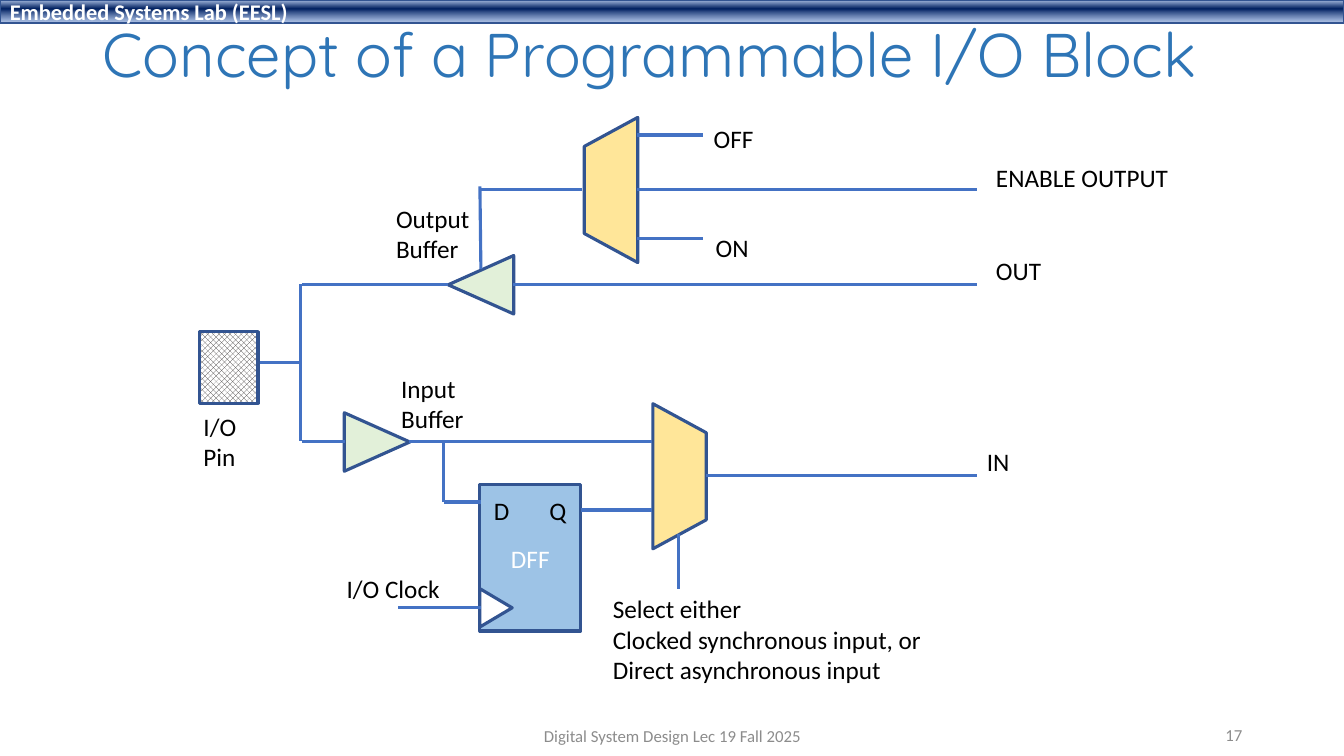
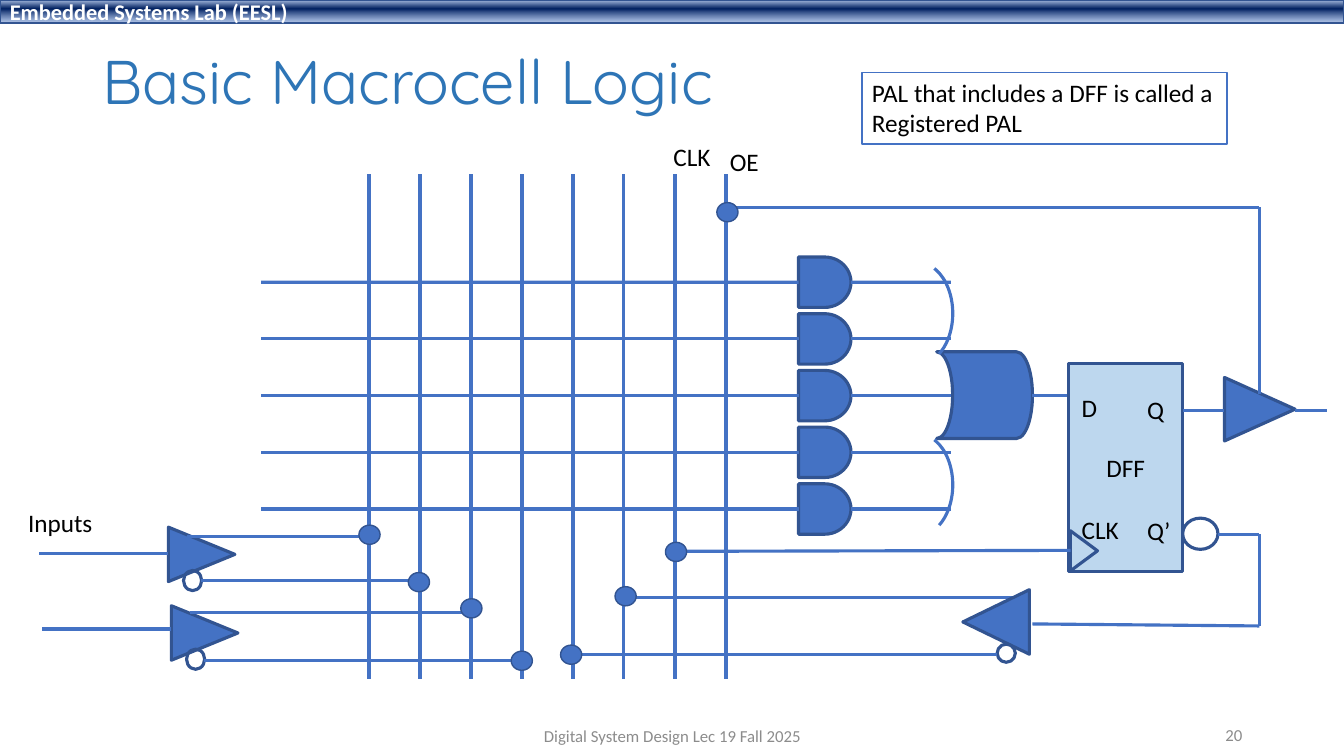
"""Build two digital-logic slides: a programmable I/O block and a basic macrocell."""
from dataclasses import dataclass
from typing import Optional, Union

from lxml import etree
from pptx import Presentation
from pptx import util as u
from pptx.dml.color import RGBColor
from pptx.enum import dml, shapes, text
from pptx.oxml.ns import qn

COLORS = {
    "wire": "4472C4", "edge": "325491", "title": "2E75B6", "muted": "8C8C8C",
    "black": "000000", "white": "FFFFFF", "green": "E2F0D9", "yellow": "FFE699",
    "blue": "9DC3E6", "pale": "BDD7EE", "hatch": "3B3838",
    "band_top": "ABC0E4", "band_mid": "002060", "band_end": "7E9ED6",
}
BAND_STOPS = [(2, "band_top", 100), (38, "band_mid", 100), (93, "band_end", 64)]
GRID_CM = 2.54
LINE_HEIGHT = 0.305
MS = shapes.MSO_SHAPE
AL = text.PP_ALIGN
TRIANGLE, OVAL, RECT = MS.ISOSCELES_TRIANGLE, MS.OVAL, MS.RECTANGLE
MUX = MS.FLOWCHART_MANUAL_OPERATION


@dataclass
class Wire:
    """A straight wire between two points."""
    x1: float
    y1: float
    x2: float
    y2: float


@dataclass
class Part:
    """A circuit symbol, without fill when fill is None."""
    kind: MS
    x: float
    y: float
    w: float
    h: float
    fill: Optional[str] = None
    rot: float = 0
    weight: float = 2.25
    caption: str = ""
    ink: str = "black"
    adj: tuple[float, ...] = ()
    edge: str = "edge"


@dataclass
class Label:
    """Lines of text, framed on request."""
    lines: list[str]
    x: float
    y: float
    w: float
    framed: bool = False


@dataclass
class Gate:
    """An AND gate with its input and output wires."""
    x: float
    y: float
    x_in: float
    x_out: float


Item = Union[Wire, Part, Label, Gate]


def cm(units: float) -> u.Length:
    """Convert grid units to a length."""
    return u.Cm(units * GRID_CM)


def rgb(name: str) -> RGBColor:
    """Look up a palette colour."""
    return RGBColor.from_string(COLORS[name])


def write(sp, lines: list[str], size: float, color: str, font: str = "Calibri",
          align=AL.LEFT, anchor=text.MSO_ANCHOR.MIDDLE, wrap: bool = True,
          bold: bool = False, spacing: float = 1.0) -> None:
    """Write one paragraph per line into a shape."""
    tf = sp.text_frame
    tf.word_wrap = wrap
    tf.vertical_anchor = anchor
    for i, line in enumerate(lines):
        p = tf.add_paragraph() if i else tf.paragraphs[0]
        p.alignment = align
        p.line_spacing = spacing
        r = p.add_run()
        r.text = line
        r.font.size = u.Pt(size)
        r.font.name = font
        r.font.bold = bold
        r.font.color.rgb = rgb(color)


def add_box(s, x: float, y: float, w: float, h: float):
    """Add a text box."""
    return s.shapes.add_textbox(cm(x), cm(y), cm(w), cm(h))


def add_wire(s, wire: Wire):
    """Draw a wire."""
    c = s.shapes.add_connector(shapes.MSO_CONNECTOR.STRAIGHT, cm(wire.x1), cm(wire.y1),
                               cm(wire.x2), cm(wire.y2))
    c.line.color.rgb = rgb("wire")
    c.line.width = u.Pt(2.25)
    etree.SubElement(c._element.spPr, qn("a:effectLst"))
    return c


def add_part(s, part: Part):
    """Draw a circuit symbol."""
    sp = s.shapes.add_shape(part.kind, cm(part.x), cm(part.y), cm(part.w), cm(part.h))
    sp.shadow.inherit = False
    sp.rotation = part.rot
    for i, value in enumerate(part.adj):
        sp.adjustments[i] = value
    if part.fill is None:
        sp.fill.background()
    elif part.fill == "hatch":
        sp.fill.patterned()
        sp.fill.pattern = dml.MSO_PATTERN.LARGE_CHECKER_BOARD
        sp.fill.fore_color.rgb = rgb("hatch")
        sp.fill.back_color.rgb = rgb("white")
    else:
        sp.fill.solid()
        sp.fill.fore_color.rgb = rgb(part.fill)
    sp.line.color.rgb = rgb(part.edge)
    sp.line.width = u.Pt(part.weight)
    if part.caption:
        write(sp, [part.caption], 18, part.ink, align=AL.CENTER)
    return sp


def add_label(s, label: Label) -> None:
    """Draw a label."""
    h = 0.1 + LINE_HEIGHT * len(label.lines)
    if label.framed:
        sp = add_part(s, Part(RECT, label.x, label.y, label.w, h, "white", weight=1, edge="wire"))
    else:
        sp = add_box(s, label.x, label.y, label.w, h)
    write(sp, label.lines, 18, "black", anchor=text.MSO_ANCHOR.TOP, wrap=False)


def add_gate(s, gate: Gate) -> None:
    """Draw an AND gate joined to its wires."""
    w, h = 0.52, 0.5
    sp = add_part(s, Part(MS.FLOWCHART_DELAY, gate.x, gate.y - h / 2, w, h, "wire"))
    add_wire(s, Wire(gate.x_in, gate.y, gate.x, gate.y)).end_connect(sp, 1)
    add_wire(s, Wire(gate.x + w, gate.y, gate.x_out, gate.y)).begin_connect(sp, 3)


def add_band(s) -> None:
    """Draw the gradient band across the top."""
    sp = add_part(s, Part(RECT, 0, 0, 13.33, 0.23, "band_mid", weight=1))
    sp.fill.gradient()
    sp.fill.gradient_angle = 270
    stops = sp._element.spPr.find(qn("a:gradFill")).find(qn("a:gsLst"))
    for stop in list(stops):
        stops.remove(stop)
    for pos, name, alpha in BAND_STOPS:
        stop = etree.SubElement(stops, qn("a:gs"), pos=str(pos * 1000))
        color = etree.SubElement(stop, qn("a:srgbClr"), val=COLORS[name])
        if alpha < 100:
            etree.SubElement(color, qn("a:alpha"), val=str(alpha * 1000))
    write(sp, ["Embedded Systems Lab (EESL)"], 16, "white", bold=True)


def add_slide(prs, title: str, title_y: float, number: int, items: list[Item]) -> None:
    """Add a slide with band, title, diagram and footer."""
    s = prs.slides.add_slide(prs.slide_layouts[6])
    add_band(s)
    write(add_box(s, 0.92, title_y, 11.5, 0.87), [title], 44, "title", "Quicksand", spacing=0.9)
    draw = {Wire: add_wire, Part: add_part, Label: add_label, Gate: add_gate}
    for item in items:
        draw[type(item)](s, item)
    write(add_box(s, 9.42, 7.09, 3, 0.4), [str(number)], 12, "muted", align=AL.RIGHT)
    write(add_box(s, 4.42, 7.1, 4.5, 0.4), ["Digital System Design Lec 19 Fall 2025"],
          12, "muted", align=AL.CENTER)


def io_block() -> list[Item]:
    """List the items of the I/O block diagram."""
    return [
        Part(TRIANGLE, 4.48, 2.5, 0.58, 0.65, "green", 270),
        Part(TRIANGLE, 3.45, 4.06, 0.58, 0.65, "green", 90),
        Part(MUX, 6.02, 4.46, 1.44, 0.53, "yellow", 270),
        Part(RECT, 4.76, 4.81, 1, 1.45, "blue", caption="DFF", ink="white"),
        Wire(4.06, 4.38, 6.47, 4.38),
        Wire(4.4, 4.38, 4.4, 4.98),
        Wire(4.4, 4.98, 4.77, 4.98),
        Wire(5.76, 5.06, 6.47, 5.06),
        Wire(4.77, 2.67, 4.76, 1.85),
        Wire(4.77, 1.88, 5.77, 1.88),
        Part(MUX, 5.34, 1.62, 1.44, 0.53, "yellow", 90),
        Wire(6.32, 1.34, 6.97, 1.34),
        Wire(6.32, 2.37, 6.97, 2.37),
        Wire(6.32, 1.88, 9.69, 1.88),
        Wire(7, 4.72, 9.69, 4.72),
        Wire(5.09, 2.82, 9.69, 2.82),
        Wire(4.44, 2.82, 3, 2.82),
        Wire(2.98, 2.82, 2.98, 4.38),
        Wire(3, 4.38, 3.42, 4.38),
        Wire(2.98, 3.6, 2.56, 3.6),
        Part(RECT, 1.98, 3.29, 0.58, 0.71, "hatch"),
        Part(TRIANGLE, 4.73, 5.87, 0.38, 0.32, "white", 90),
        Wire(4.77, 6.03, 3.95, 6.03),
        Wire(6.73, 5.3, 6.73, 5.84),
        Label(["OUT"], 9.78, 2.48, 0.65),
        Label(["IN"], 9.69, 4.38, 0.43),
        Label(["ENABLE OUTPUT"], 9.78, 1.56, 1.92),
        Label(["OFF"], 6.98, 1.17, 0.6),
        Label(["ON"], 7, 2.26, 0.53),
        Label(["Output", "Buffer"], 3.83, 1.97, 0.94),
        Label(["Input", "Buffer"], 3.88, 3.65, 0.83),
        Label(["I/O", "Pin"], 1.92, 4.03, 0.53),
        Label(["I/O Clock"], 3.34, 5.64, 1.13),
        Label(["D"], 4.8, 4.86, 0.35),
        Label(["Q"], 5.35, 4.86, 0.37),
        Label(["Select either", "Clocked synchronous input, or", "Direct asynchronous input"],
              5.98, 5.84, 3.3),
    ]


def input_buffer(x: float, y: float, y_in: float, y_true: float, x_true: float,
                 y_inverted: float, x_inverted: float) -> list[Item]:
    """List the items of one input buffer with true and inverted outputs."""
    return [
        Part(TRIANGLE, x, y, 0.54, 0.66, "wire", 90),
        Part(OVAL, x + 0.09, y + 0.49, 0.18, 0.2),
        Wire(x + 0.12, y_true, x_true, y_true),
        Wire(x + 0.26, y_inverted, x_inverted, y_inverted),
        Wire(x - 0.06, y_in, x - 1.34, y_in),
    ]


def macrocell() -> list[Item]:
    """List the items of the macrocell diagram."""
    columns = [3.66 + 3.54 * i / 7 for i in range(8)]
    rows = [2.8 + 2.25 * i / 4 for i in range(5)]
    dots = [(5.07, 6.46), (4.57, 5.94), (4.05, 5.68), (3.56, 5.21),
            (7.11, 2.01), (5.56, 6.4), (6.1, 5.82), (6.6, 5.38)]
    return [
        *(Wire(x, 1.73, x, 6.74) for x in columns),
        *(Gate(7.92, y, 2.59, 9.43) for y in rows),
        Part(MS.FLOWCHART_STORED_DATA, 9.29, 3.49, 0.95, 0.86, "wire", 180),
        *(Part(MS.ARC, 8.78, y, 0.67, 1, adj=(173.31, 38.06), edge="wire") for y in (2.61, 4.31)),
        Wire(10.24, 3.92, 10.6, 3.92),
        Part(RECT, 10.6, 3.61, 1.13, 2.06, "pale", caption="DFF"),
        Part(TRIANGLE, 10.55, 5.33, 0.4, 0.27, rot=90),
        Wire(10.62, 5.46, 6.69, 5.47),
        Part(TRIANGLE, 12.18, 3.71, 0.63, 0.7, "wire", 90),
        Wire(11.73, 4.07, 12.14, 4.07),
        Wire(12.84, 4.07, 13.16, 4.07),
        Wire(12.49, 3.91, 12.49, 2.05),
        Wire(12.49, 2.06, 7.17, 2.06),
        Part(OVAL, 11.73, 5.14, 0.35, 0.31),
        Wire(12.08, 5.3, 12.49, 5.3),
        Wire(12.49, 5.3, 12.49, 6.21),
        Wire(12.49, 6.21, 10.24, 6.19),
        Wire(10.06, 5.93, 6.19, 5.93),
        Part(TRIANGLE, 9.56, 5.84, 0.64, 0.66, "wire", 270),
        Part(OVAL, 9.89, 6.39, 0.18, 0.18),
        Wire(9.89, 6.49, 5.68, 6.49),
        *input_buffer(1.76, 5.95, 6.24, 6.08, 4.69, 6.55, 5.18),
        *input_buffer(1.73, 5.17, 5.49, 5.32, 3.71, 5.76, 4.17),
        *(Part(OVAL, x, y, 0.21, 0.19, "wire", weight=1) for x, y in dots),
        Label(["D"], 10.63, 3.84, 0.35),
        Label(["CLK"], 10.63, 5.05, 0.58),
        Label(["Q"], 11.28, 3.86, 0.37),
        Label(["Q’"], 11.28, 5.06, 0.5),
        Label(["Inputs"], 0.18, 4.98, 0.85),
        Label(["OE"], 7.14, 1.4, 0.49),
        Label(["CLK"], 6.58, 1.35, 0.58),
        Label(["PAL that includes a DFF is called a", "Registered PAL"], 8.55, 0.72, 3.62, True),
    ]


def main() -> None:
    """Build and save the presentation."""
    prs = Presentation()
    prs.slide_width, prs.slide_height = cm(13.33), cm(7.5)
    add_slide(prs, "Concept of a Programmable I/O Block", 0.14, 17, io_block())
    add_slide(prs, "Basic Macrocell Logic", 0.4, 20, macrocell())
    prs.save("out.pptx")


if __name__ == "__main__":
    main()
